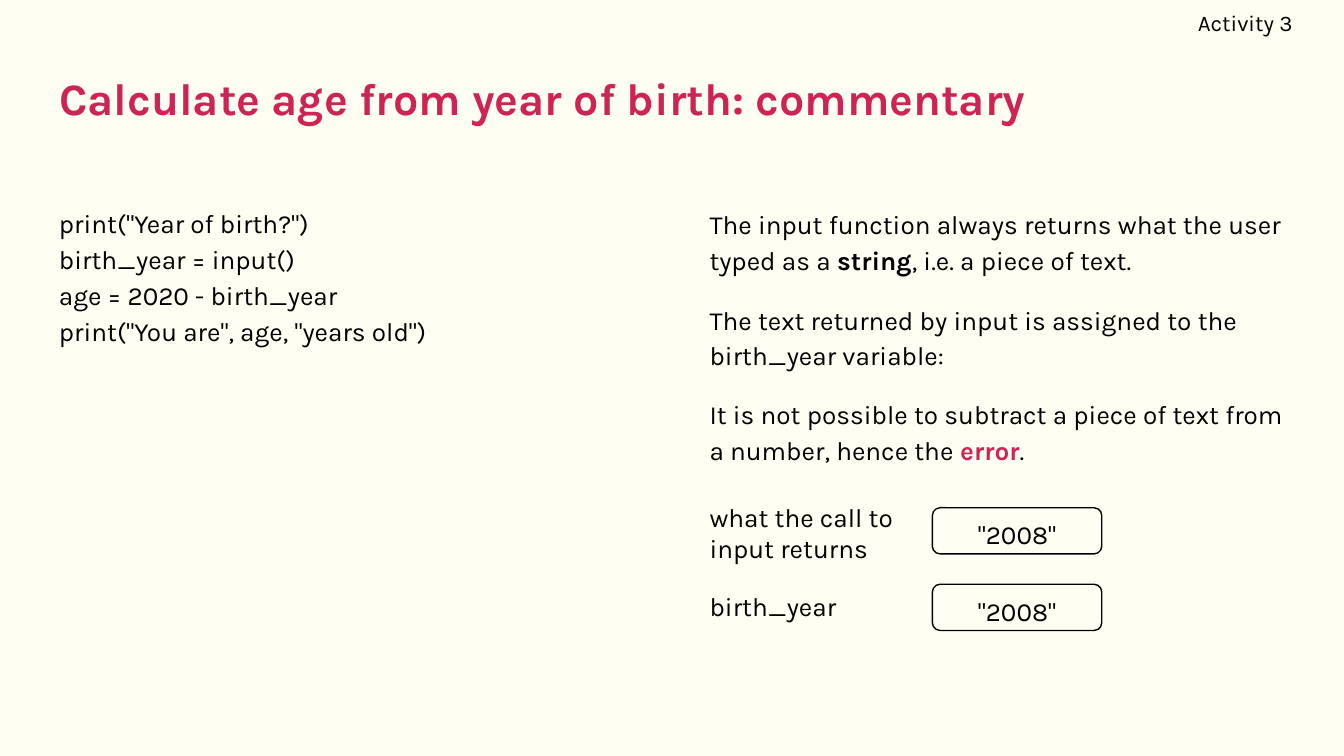
from pptx import Presentation
from pptx.dml.color import RGBColor
from pptx.enum.shapes import MSO_SHAPE
from pptx.enum.text import MSO_ANCHOR, MSO_AUTO_SIZE, PP_ALIGN
from pptx.util import Pt

CREAM = RGBColor(0xFF, 0xFE, 0xF2)
BLACK = RGBColor(0x00, 0x00, 0x00)
CRIMSON = RGBColor(0xCD, 0x23, 0x55)

ROUNDED = MSO_SHAPE.ROUNDED_RECTANGLE
TOP, MIDDLE = MSO_ANCHOR.TOP, MSO_ANCHOR.MIDDLE
LEFT, CENTER, RIGHT = PP_ALIGN.LEFT, PP_ALIGN.CENTER, PP_ALIGN.RIGHT
NO_AUTOFIT = MSO_AUTO_SIZE.NONE

FONT = "Karla"
TITLE_ONLY = 5
CODE_LEFT = 24.5
NOTE_LEFT = 373
NOTE_WIDTH = 322
VALUE_LEFT = 499.5

CODE = [
    'print("Year of birth?")',
    "birth_year = input()",
    "age = 2020 - birth_year",
    'print("You are", age, "years old")',
]

NOTES = [
    (102.25, 50.4, [
        ("The input function always returns what the user typed as a ", {}),
        ("string", {"bold": True}),
        (", i.e. a piece of text.", {}),
    ]),
    (153.25, 46, [
        ("The text returned by input is assigned to the birth_year variable:", {}),
    ]),
    (203.75, 50.4, [
        ("It is not possible to subtract a piece of text from a number, hence the ", {}),
        ("error", {"bold": True, "color": CRIMSON}),
        (".", {}),
    ]),
]

VALUES = [
    ("what the call to input returns", 261.25, 46, 272),
    ("birth_year", 309, 24.5, 313),
]


def set_attributes(target, values):
    for name, value in values.items():
        setattr(target, name, value)


def write_text(box, paragraphs, size=14, anchor=TOP, align=LEFT, spacing=1.0,
               insets=(7.2, 7.2, 7.2, 7.2)):
    frame = box.text_frame
    left, top, right, bottom = insets
    set_attributes(frame, {
        "word_wrap": True, "auto_size": NO_AUTOFIT, "vertical_anchor": anchor,
        "margin_left": Pt(left), "margin_top": Pt(top),
        "margin_right": Pt(right), "margin_bottom": Pt(bottom),
    })
    for index, spans in enumerate(paragraphs):
        para = frame.add_paragraph() if index else frame.paragraphs[0]
        set_attributes(para, {"alignment": align, "line_spacing": spacing})
        for text, style in spans:
            span = para.add_run()
            span.text = text
            set_attributes(span.font, {
                "name": FONT, "size": Pt(size), "bold": style.get("bold", False),
            })
            span.font.color.rgb = style.get("color", BLACK)


def add_title(page, text):
    title = page.shapes.title
    set_attributes(title, {
        "left": Pt(CODE_LEFT), "top": Pt(24.5), "width": Pt(671), "height": Pt(55.5),
    })
    write_text(title, [[(text, {"bold": True, "color": CRIMSON})]], size=24, anchor=MIDDLE)


def add_text(shapes, left, top, width, height, paragraphs, **layout):
    box = shapes.add_textbox(Pt(left), Pt(top), Pt(width), Pt(height))
    write_text(box, paragraphs, **layout)


def add_value_box(shapes, top, text):
    box = shapes.add_shape(ROUNDED, Pt(VALUE_LEFT), Pt(top), Pt(90.75), Pt(24.75))
    box.adjustments[0] = 0.167
    box.shadow.inherit = False
    box.fill.background()
    box.line.color.rgb = BLACK
    box.line.width = Pt(0.75)
    write_text(box, [[(text, {})]], anchor=MIDDLE, align=CENTER, spacing=1.15,
               insets=(7.2, 1.44, 7.2, 0))


def add_labelled_value(page, label, label_top, label_height, value_top):
    shapes = page.shapes.add_group_shape().shapes
    add_text(shapes, NOTE_LEFT, label_top, 115, label_height, [[(label, {})]])
    add_value_box(shapes, value_top, '"2008"')


def main():
    deck = Presentation()
    set_attributes(deck, {"slide_width": Pt(720), "slide_height": Pt(405)})
    page = deck.slides.add_slide(deck.slide_layouts[TITLE_ONLY])
    page.background.fill.solid()
    page.background.fill.fore_color.rgb = CREAM

    add_title(page, "Calculate age from year of birth: commentary")
    add_text(page.shapes, 538.5, 0, 154, 24.5, [[("Activity 3", {})]], size=12,
             anchor=MIDDLE, align=RIGHT, insets=(7.2, 7.2, 0, 7.2))
    add_text(page.shapes, CODE_LEFT, 101.5, 348.5, 93.5,
             [[(line, {})] for line in CODE], spacing=1.15)
    for top, height, spans in NOTES:
        add_text(page.shapes, NOTE_LEFT, top, NOTE_WIDTH, height, [spans],
                 spacing=1.14, insets=(7.2, 7.2, 4.3, 7.2))
    for value in VALUES:
        add_labelled_value(page, *value)

    deck.save("out.pptx")


if __name__ == "__main__":
    main()
